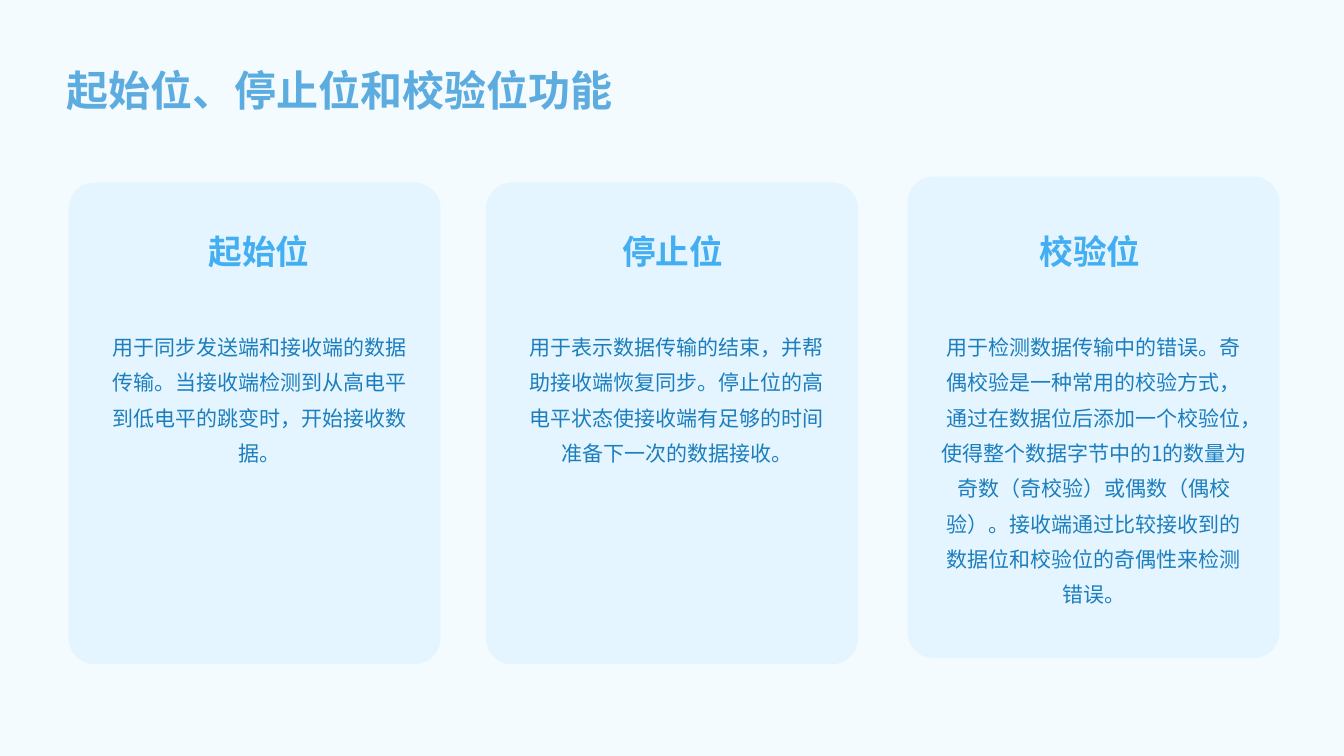
from lxml import etree
from pptx import Presentation
from pptx.dml.color import RGBColor
from pptx.enum.shapes import MSO_SHAPE
from pptx.enum.text import MSO_ANCHOR, PP_ALIGN
from pptx.oxml.ns import qn
from pptx.util import Pt

PX = 9144  # 100 px to the inch
FONT = "Noto Sans CJK SC"
ROUNDED = MSO_SHAPE.ROUNDED_RECTANGLE
TOP, MIDDLE = MSO_ANCHOR.TOP, MSO_ANCHOR.MIDDLE
LEFT, CENTER = PP_ALIGN.LEFT, PP_ALIGN.CENTER
PADDED = (14, 14, 6, 14)
FLUSH = (0, 0, 0, 0)
COLUMN_STEP = 414


def rgb(color):
    return RGBColor.from_string(color)


def add_text(text, x, y, w, h, size, color, bold=False, align=CENTER,
             anchor=MIDDLE, spacing=1.4, insets=PADDED):
    frame = slide.shapes.add_textbox(x * PX, y * PX, w * PX, h * PX).text_frame
    frame.word_wrap = True
    frame.vertical_anchor = anchor
    (frame.margin_left, frame.margin_top,
     frame.margin_right, frame.margin_bottom) = [inset * PX for inset in insets]
    paragraph = frame.paragraphs[0]
    paragraph.alignment = align
    paragraph.line_spacing = spacing
    run = paragraph.add_run()
    run.text = text
    run.font.size = Pt(size)
    run.font.bold = bold
    run.font.color.rgb = rgb(color)
    run.font.name = FONT
    east_asian = etree.Element(qn("a:ea"), typeface=FONT)
    run.font._element.find(qn("a:latin")).addnext(east_asian)


prs = Presentation()
prs.slide_width, prs.slide_height = 1333 * PX, 750 * PX
slide = prs.slides.add_slide(prs.slide_layouts[6])
slide.background.fill.solid()
slide.background.fill.fore_color.rgb = rgb("F4FBFF")

add_text("起始位、停止位和校验位功能", 52, 29, 1229, 100,
         size=30, color="5CACDF", bold=True, align=LEFT)

# heading, explanation, card left, card top, heading insets
bits = [
    ("起始位",
     "用于同步发送端和接收端的数据传输。当接收端检测到从高电平到低电平的跳变时，开始接收数据。",
     68, 181, PADDED),
    ("停止位",
     "用于表示数据传输的结束，并帮助接收端恢复同步。停止位的高电平状态使接收端有足够的时间准备下一次的数据接收。",
     482, 181, FLUSH),
    ("校验位",
     "用于检测数据传输中的错误。奇偶校验是一种常用的校验方式，通过在数据位后添加一个校验位，"
     "使得整个数据字节中的1的数量为奇数（奇校验）或偶数（偶校验）。"
     "接收端通过比较接收到的数据位和校验位的奇偶性来检测错误。",
     900, 175, FLUSH),
]

for column, (heading, explanation, card_x, card_y, heading_insets) in enumerate(bits):
    card = slide.shapes.add_shape(ROUNDED, card_x * PX, card_y * PX, 369 * PX, 478 * PX)
    card.adjustments[0] = 0.07
    card.shadow.inherit = False
    card.line.fill.background()
    card.fill.solid()
    card.fill.fore_color.rgb = rgb("E0F4FF")
    fill_color = card._element.spPr.find(qn("a:solidFill"))[0]
    etree.SubElement(fill_color, qn("a:alpha"), val="80000")

    heading_x = 81 + column * COLUMN_STEP
    add_text(heading, heading_x, 208, 344, 75, size=24, color="43AEF2",
             bold=True, spacing=1.2, insets=heading_insets)
    add_text(explanation, heading_x + 8, 308, 328, 310, size=15, color="1C7EBD",
             anchor=TOP)

prs.save("out.pptx")
